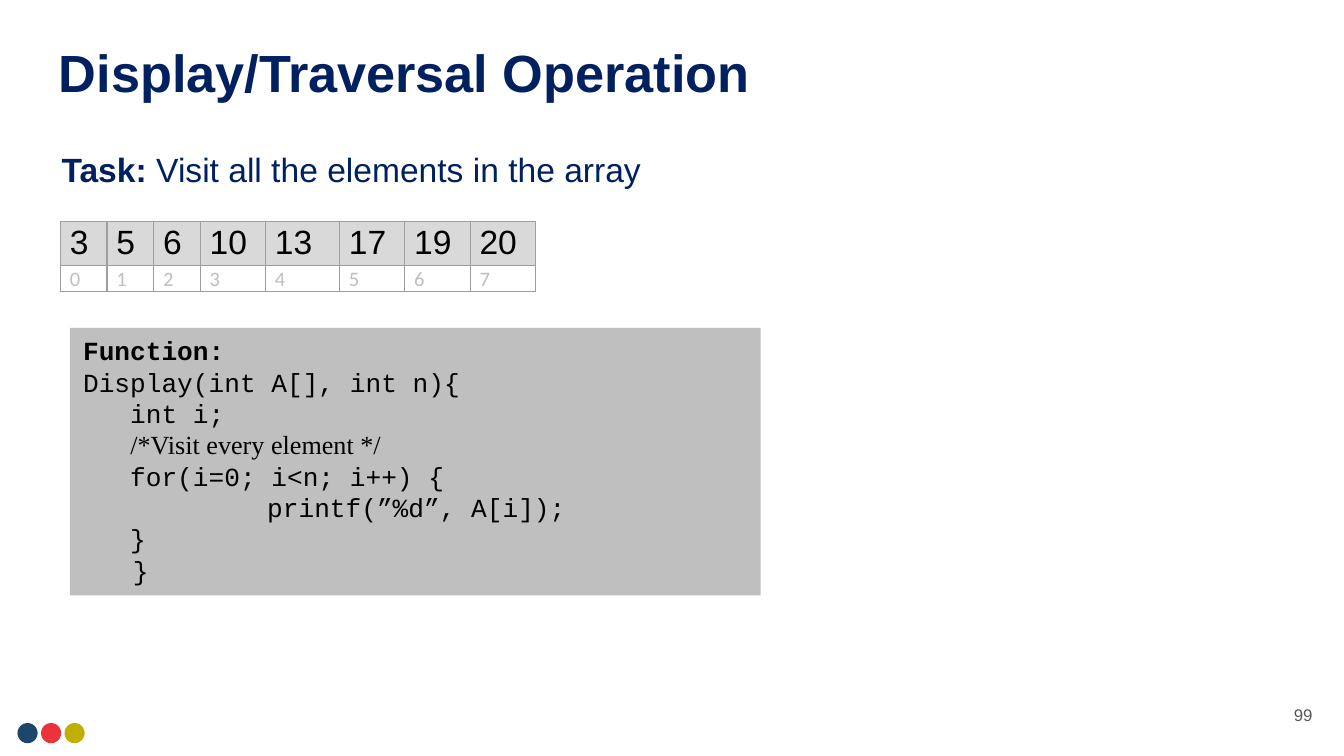
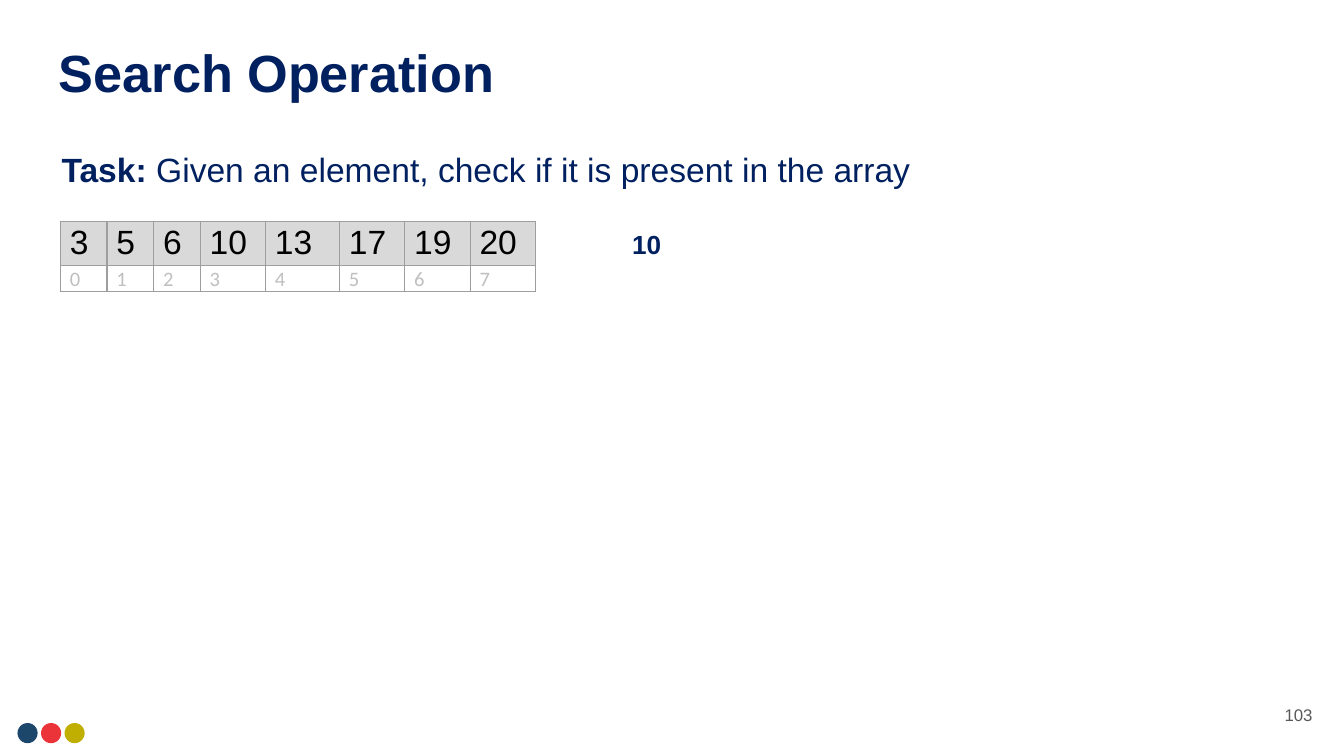
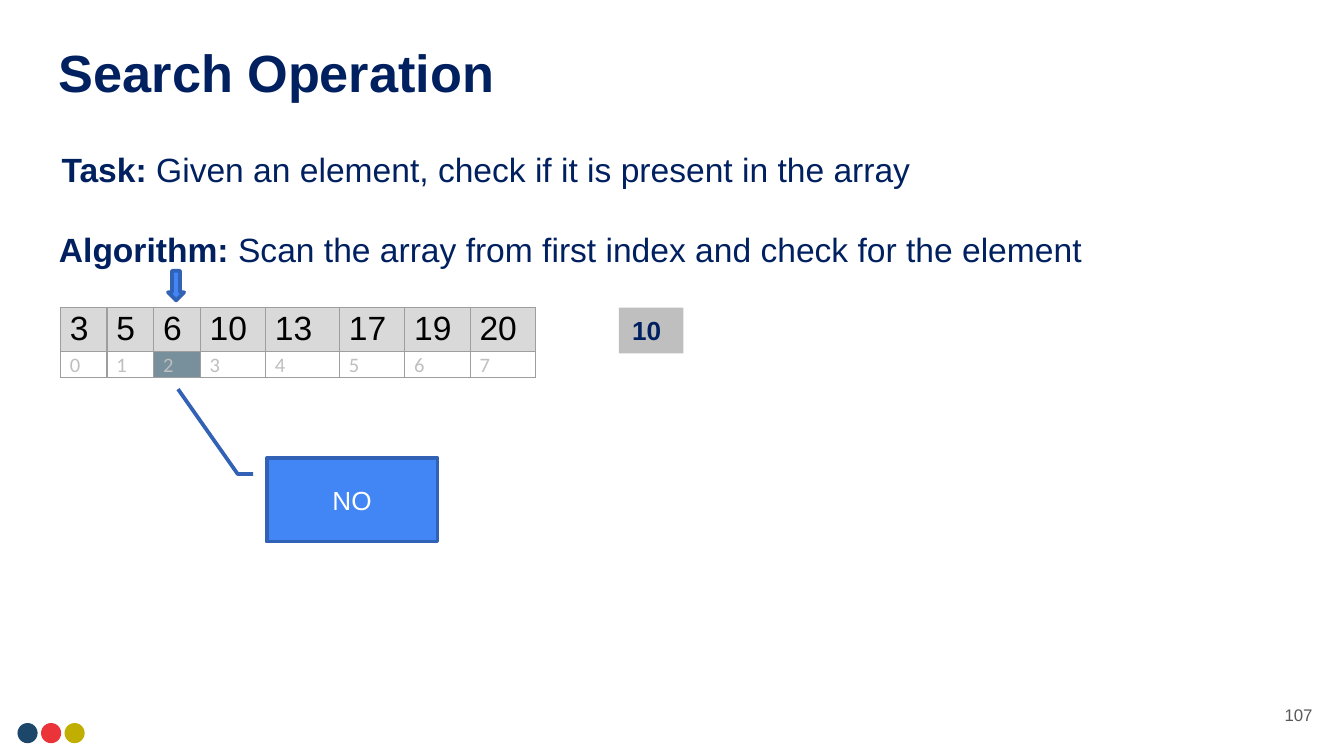
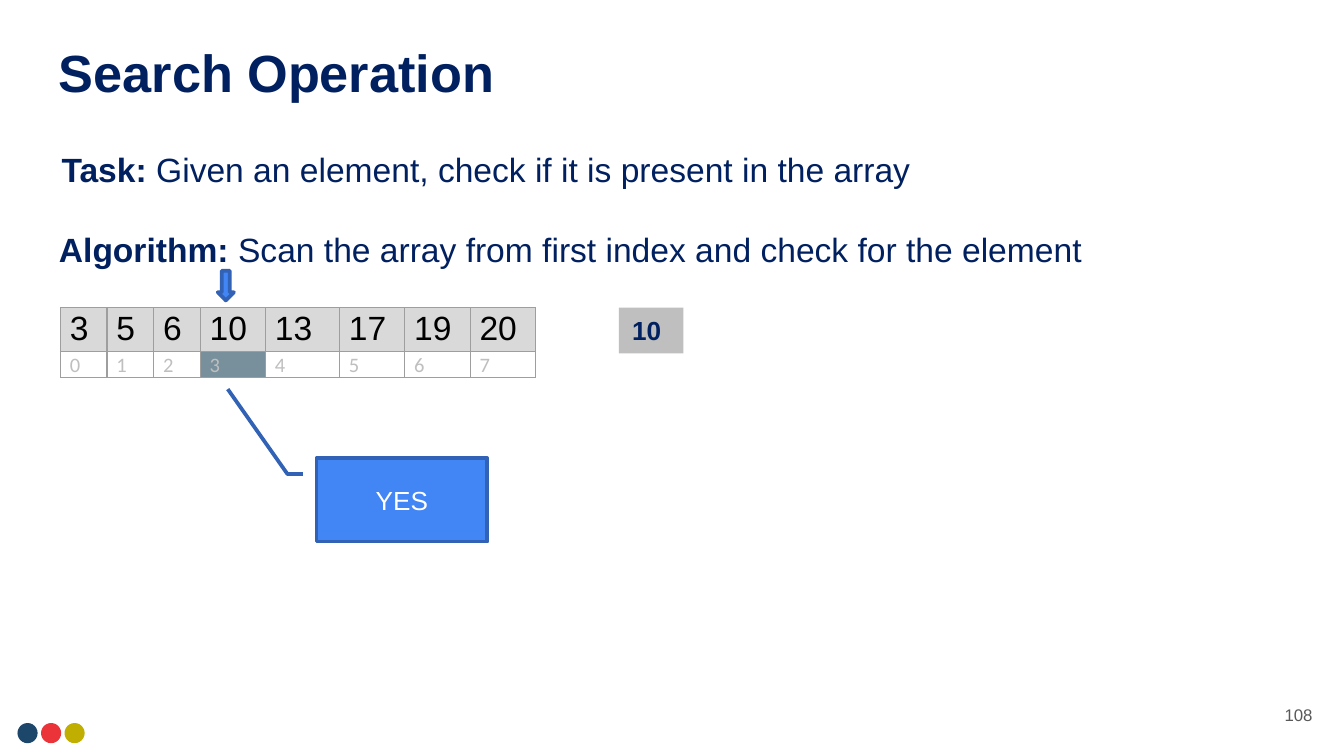
from collections import namedtuple

from lxml import etree
from pptx import Presentation
from pptx.dml.color import RGBColor
from pptx.enum.shapes import MSO_SHAPE
from pptx.enum.text import MSO_ANCHOR, MSO_AUTO_SIZE, PP_ALIGN
from pptx.oxml.ns import qn
from pptx.util import Inches, Pt

NAVY = RGBColor(0x00, 0x20, 0x60)
BLACK = RGBColor(0x00, 0x00, 0x00)
WHITE = RGBColor(0xFF, 0xFF, 0xFF)
SILVER = RGBColor(0xBF, 0xBF, 0xBF)
PALE_GREY = RGBColor(0xD9, 0xD9, 0xD9)
NUMBER_GREY = RGBColor(0x59, 0x59, 0x59)
SLATE = RGBColor(0x78, 0x90, 0x9C)
BLUE = RGBColor(0x42, 0x85, 0xF4)
DEEP_BLUE = RGBColor(0x31, 0x62, 0xB5)
DOT_COLORS = [RGBColor(0x1D, 0x46, 0x6B), RGBColor(0xEB, 0x34, 0x3A),
              RGBColor(0xC0, 0xAE, 0x00)]
BORDER_HEX = "9E9E9E"

ELLIPSE = MSO_SHAPE.OVAL
RECTANGLE = MSO_SHAPE.RECTANGLE
DOWN_ARROW = MSO_SHAPE.DOWN_ARROW
CALLOUT = MSO_SHAPE.LINE_CALLOUT_2
TOP, MIDDLE = MSO_ANCHOR.TOP, MSO_ANCHOR.MIDDLE
LEFT, CENTER, RIGHT = PP_ALIGN.LEFT, PP_ALIGN.CENTER, PP_ALIGN.RIGHT
JUSTIFY = PP_ALIGN.JUSTIFY
GROW, FIXED = MSO_AUTO_SIZE.SHAPE_TO_FIT_TEXT, MSO_AUTO_SIZE.NONE

SLIDE_WIDTH = Inches(10)
SLIDE_HEIGHT = SLIDE_WIDTH * 9 // 16
CELL = SLIDE_WIDTH / 100  # the grid has 100 columns and square cells

Box = namedtuple("Box", "left top width height")
TITLE_BOX = Box(3.4, 2.54, 93.2, 6.3)
TASK_BOX = Box(3.6, 10.6, 80.5, 4)
ALGORITHM_BOX = Box(3.4, 16.55, 80.5, 4)
NUMBER_BOX = Box(92.65, 51.05, 6, 4.3)
DOTS_BOX = Box(1.3, 53.8, 5, 1.5)
CODE_BOX = Box(5.2, 24.4, 51.4, 19.9)
UPPER_ARRAY = Box(4.5, 16.5, 35.3, 5.2)
LOWER_ARRAY = UPPER_ARRAY._replace(top=22.9)

ARRAY = [3, 5, 6, 10, 13, 17, 19, 20]
ARRAY_COLUMNS = [3.47, 3.47, 3.47, 4.86, 5.5, 4.86, 4.86, 4.86]
ARRAY_ROWS = [3.25, 1.95]
CALLOUT_SHAPE = [0.19, -0.08, 0.19, -0.17, -0.83, -0.52]
CODE_INDENT = Inches(0.37)
CODE = ["Function:", "Display(int A[], int n){", "   int i;",
        "   /*Visit every element */", "   for(i=0; i<n; i++) {",
        "\t\tprintf(”%d”, A[i]);", "   }", "}"]
SEARCH_TASK = "Given an element, check if it is present in the array"
SEARCH_STEPS = "Scan the array from first index and check for the element"


def grid(cells):
    return round(cells * CELL)


def style_font(font, size, color, bold=False, name="Arial"):
    font.size, font.bold, font.name = Pt(size), bold, name
    font.color.rgb = color


def add_runs(para, parts, size, color, name="Arial"):
    """Add (text, bold) parts to a paragraph."""
    for text, bold in parts:
        run = para.add_run()
        run.text = text
        style_font(run.font, size, color, bold, name)


def add_text(page, box, parts, size, color=NAVY, align=LEFT, anchor=TOP, resize=GROW):
    label = page.shapes.add_textbox(*map(grid, box))
    frame = label.text_frame
    frame.word_wrap, frame.auto_size, frame.vertical_anchor = True, resize, anchor
    frame.paragraphs[0].alignment = align
    add_runs(frame.paragraphs[0], parts, size, color)
    return label


def add_filled(page, kind, box, fill, line=None):
    shape = page.shapes.add_shape(kind, *map(grid, box))
    shape.shadow.inherit = False
    shape.fill.solid()
    shape.fill.fore_color.rgb = fill
    if line is None:
        shape.line.fill.background()
    else:
        shape.line.color.rgb = line
        shape.line.width = Pt(2)
    return shape


def add_page(deck, title, number, task):
    page = deck.slides.add_slide(deck.slide_layouts[6])
    add_dots(page, DOTS_BOX)
    label = add_text(page, NUMBER_BOX, [(str(number), False)], 9, NUMBER_GREY,
                     RIGHT, MIDDLE, FIXED)
    label.text_frame.margin_top = label.text_frame.margin_bottom = Inches(0.1)
    add_text(page, TITLE_BOX, [(title, True)], 28, resize=FIXED)
    add_text(page, TASK_BOX, [("Task:", True), (" " + task, False)], 18)
    return page


def add_dots(page, box):
    pitch = (box.width - box.height) / (len(DOT_COLORS) - 1)
    for index, color in enumerate(DOT_COLORS):
        dot = Box(box.left + index * pitch, box.top, box.height, box.height)
        add_filled(page, ELLIPSE, dot, color)


def add_borders(cell):
    """Draw the four cell borders, ahead of the fill as the schema asks."""
    properties = cell._tc.get_or_add_tcPr()
    for position, side in enumerate(("a:lnL", "a:lnR", "a:lnT", "a:lnB")):
        line = etree.Element(qn(side), w=str(Pt(0.75)))
        fill = etree.SubElement(line, qn("a:solidFill"))
        etree.SubElement(fill, qn("a:srgbClr"), val=BORDER_HEX)
        properties.insert(position, line)


def fill_cell(cell, text, size, color, name, fill):
    cell.margin_left = cell.margin_right = Inches(0.07)
    cell.margin_top = cell.margin_bottom = 0
    para = cell.text_frame.paragraphs[0]
    para.text = str(text)
    para.line_spacing = 1.07
    style_font(para.runs[0].font, size, color, name=name)
    if fill is None:
        cell.fill.background()
    else:
        cell.fill.solid()
        cell.fill.fore_color.rgb = fill
    add_borders(cell)


def add_array(page, box, visited=None):
    """Show values over indexes, with the visited index shaded."""
    table = page.shapes.add_table(2, len(ARRAY), *map(grid, box)).table
    table.first_row = table.horz_banding = False
    for column, width in zip(table.columns, ARRAY_COLUMNS):
        column.width = grid(width)
    for row, height in zip(table.rows, ARRAY_ROWS):
        row.height = grid(height)
    for index, value in enumerate(ARRAY):
        shade = None
        if visited is not None and index <= visited:
            shade = SLATE if index == visited else WHITE
        fill_cell(table.cell(0, index), value, 18, BLACK, "Arial", PALE_GREY)
        fill_cell(table.cell(1, index), index, 11, SILVER, "Calibri", shade)


def add_code(page, box):
    frame = add_filled(page, RECTANGLE, box, SILVER).text_frame
    frame.word_wrap, frame.auto_size, frame.vertical_anchor = True, GROW, TOP
    for index, line in enumerate(CODE):
        para = frame.add_paragraph() if index else frame.paragraphs[0]
        closing = index == len(CODE) - 1
        para.alignment = LEFT if closing else JUSTIFY
        properties = para._p.get_or_add_pPr()
        properties.set("marL", str(CODE_INDENT))
        properties.set("indent", str(0 if closing else -CODE_INDENT))
        properties.set("defTabSz", str(Inches(1)))
        code, mark, comment = line.partition("/*")
        add_runs(para, [(code, index == 0)], 14, BLACK, "Courier New")
        if mark:
            add_runs(para, [(mark + comment, False)], 14, BLACK, "Times New Roman")


def add_target(page, array_box, filled):
    """Place the searched value to the right of the array."""
    box = Box(array_box.left + 41.55, array_box.top, 4.8, 3.4)
    label = add_text(page, box, [("10", True)], 14)
    if filled:
        label.fill.solid()
        label.fill.fore_color.rgb = SILVER


def add_verdict(page, array_box, marker_left, answer):
    """Point at the visited element and answer below the array."""
    arrow = Box(marker_left, array_box.top - 2.75, 1.2, 2.2)
    add_filled(page, DOWN_ARROW, arrow, BLUE, DEEP_BLUE)
    box = Box(marker_left + 7.35, array_box.top + 11.2, 12.7, 6.2)
    callout = add_filled(page, CALLOUT, box, BLUE, DEEP_BLUE)
    for index, value in enumerate(CALLOUT_SHAPE):
        callout.adjustments[index] = value
    frame = callout.text_frame
    frame.vertical_anchor = MIDDLE
    frame.paragraphs[0].alignment = CENTER
    add_runs(frame.paragraphs[0], [(answer, False)], 14, WHITE)


def add_traversal_slide(deck):
    page = add_page(deck, "Display/Traversal Operation", 99,
                    "Visit all the elements in the array")
    add_array(page, UPPER_ARRAY)
    add_code(page, CODE_BOX)


def add_search_slide(deck):
    page = add_page(deck, "Search Operation", 103, SEARCH_TASK)
    add_array(page, UPPER_ARRAY)
    add_target(page, UPPER_ARRAY, filled=False)


def add_search_step_slide(deck, number, visited, marker_left, answer):
    page = add_page(deck, "Search Operation", number, SEARCH_TASK)
    add_text(page, ALGORITHM_BOX, [("Algorithm: ", True), (SEARCH_STEPS, False)], 18)
    add_array(page, LOWER_ARRAY, visited)
    add_target(page, LOWER_ARRAY, filled=True)
    add_verdict(page, LOWER_ARRAY, marker_left, answer)


def main():
    deck = Presentation()
    deck.slide_width, deck.slide_height = SLIDE_WIDTH, SLIDE_HEIGHT
    add_traversal_slide(deck)
    add_search_slide(deck)
    add_search_step_slide(deck, 107, visited=2, marker_left=12.5, answer="NO")
    add_search_step_slide(deck, 108, visited=3, marker_left=16.2, answer="YES")
    deck.save("out.pptx")


if __name__ == "__main__":
    main()
